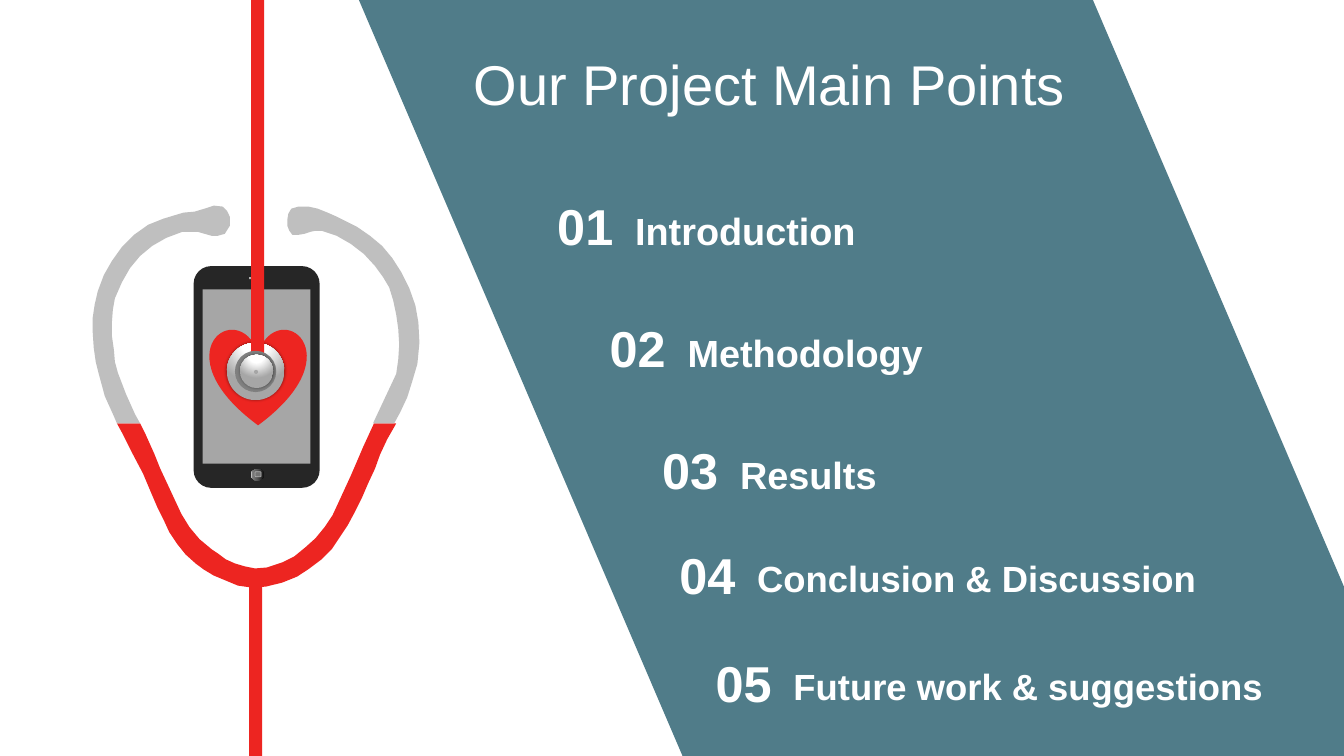
from lxml.etree import SubElement
from pptx import Presentation
from pptx.dml.color import RGBColor
from pptx.enum.shapes import MSO_SHAPE
from pptx.enum.text import MSO_ANCHOR, PP_ALIGN
from pptx.oxml import parse_xml
from pptx.oxml.ns import nsdecls, qn
from pptx.util import Inches, Pt

WHITE, TEAL, RED = "FFFFFF", "507C89", "ED2521"
CASE, SCREEN, SILVER, TUBE = "262626", "A6A6A6", "B0B0B0", "BFBFBF"
DISC_STOPS = [(0, WHITE), (35, WHITE), (100, SCREEN)]
DISC_FOCUS = ('<a:path path="circle"><a:fillToRect l="50000" t="-80000" '
              'r="50000" b="180000"/></a:path>')
BUTTON_STOPS = [(0, "0F0F0F"), (56, "595959"), (91, "808080"), (100, TUBE)]
BUTTON_DIRECTION = '<a:lin ang="10800000" scaled="0"/>'


def rgb(value):
    return RGBColor.from_string(value)


class SlidePainter:
    def __init__(self, slide, font="Arial", ink=WHITE):
        self.slide, self.font, self.ink = slide, font, ink

    def paint(self, shape, fill, line=None):
        shape.shadow.inherit = False
        shape.fill.solid()
        shape.fill.fore_color.rgb = rgb(fill)
        if line:
            shape.line.color.rgb = rgb(line)
            shape.line.width = Pt(0.5)
        else:
            shape.line.fill.background()
        return shape

    def shape(self, kind, left, top, width, height, fill, line=None):
        box = map(Inches, (left, top, width, height))
        return self.paint(self.slide.shapes.add_shape(kind, *box), fill, line)

    def gradient(self, shape, stops, direction):
        marks = "".join(f'<a:gs pos="{pos * 1000}"><a:srgbClr val="{color}"/></a:gs>'
                        for pos, color in stops)
        properties = shape.element.spPr
        properties.replace(properties.find(qn("a:solidFill")), parse_xml(
            f'<a:gradFill {nsdecls("a")} rotWithShape="0">'
            f'<a:gsLst>{marks}</a:gsLst>{direction}</a:gradFill>'))

    def metal_disc(self, left, top, size):
        disc = self.shape(MSO_SHAPE.OVAL, left, top, size, size, SCREEN)
        self.gradient(disc, DISC_STOPS, DISC_FOCUS)
        effects = disc.element.spPr.find(qn("a:effectLst"))
        glow = SubElement(effects, qn("a:outerShdw"), blurRad=str(Pt(2)), dist="0", dir="0")
        black = SubElement(glow, qn("a:srgbClr"), val="000000")
        SubElement(black, qn("a:alpha"), val="40000")

    def outline(self, fill, *contours):
        first, *others = [[(Inches(x), Inches(y)) for x, y in contour]
                          for contour in contours]
        builder = self.slide.shapes.build_freeform(*first[0])
        builder.add_line_segments(first[1:])
        for contour in others:
            builder.move_to(*contour[0])
            builder.add_line_segments(contour[1:])
        return self.paint(builder.convert_to_shape(), fill)

    def text(self, left, top, width, height, words, size, bold=True,
             align=PP_ALIGN.LEFT, anchor=MSO_ANCHOR.TOP, inset=0.12):
        box = self.slide.shapes.add_textbox(*map(Inches, (left, top, width, height)))
        frame = box.text_frame
        frame.word_wrap = True
        frame.vertical_anchor = anchor
        frame.margin_left = frame.margin_right = Inches(inset)
        paragraph = frame.paragraphs[0]
        paragraph.text = words
        paragraph.alignment = align
        font = paragraph.font
        font.name, font.size, font.bold = self.font, Pt(size), bold
        font.color.rgb = rgb(self.ink)


PANEL = [(3.56, 0), (10.84, 0), (13.33, 5.82), (13.33, 7.5), (6.77, 7.5)]

YOKE = [
    (1.16, 4.2), (1.39, 4.2), (1.44, 4.3), (1.53, 4.5), (1.59, 4.65), (1.66, 4.8),
    (1.73, 4.95), (1.8, 5.1), (1.88, 5.23), (1.98, 5.35), (2.1, 5.45), (2.16, 5.49),
    (2.24, 5.55), (2.33, 5.59), (2.43, 5.62), (2.53, 5.64), (2.65, 5.63), (2.8, 5.58),
    (2.92, 5.52), (3.03, 5.43), (3.13, 5.34), (3.22, 5.23), (3.3, 5.11), (3.36, 4.98),
    (3.42, 4.85), (3.48, 4.72), (3.54, 4.58), (3.6, 4.44), (3.71, 4.2), (3.93, 4.2),
    (3.92, 4.22), (3.84, 4.36), (3.77, 4.51), (3.72, 4.65), (3.65, 4.8), (3.59, 4.94),
    (3.52, 5.08), (3.45, 5.21), (3.37, 5.33), (3.29, 5.45), (3.19, 5.55), (3.07, 5.64),
    (2.95, 5.72), (2.8, 5.78), (2.64, 5.82), (2.5, 5.83), (2.36, 5.81), (2.24, 5.76),
    (2.12, 5.71), (2.02, 5.65), (1.94, 5.59), (1.84, 5.5), (1.76, 5.4), (1.68, 5.28),
    (1.62, 5.15), (1.56, 5.03), (1.5, 4.89), (1.42, 4.7), (1.32, 4.51), (1.22, 4.31)]

RIGHT_EARPIECE = [
    (2.96, 2.05), (3.06, 2.05), (3.15, 2.07), (3.25, 2.11), (3.34, 2.15), (3.42, 2.19),
    (3.54, 2.25), (3.67, 2.34), (3.79, 2.44), (3.89, 2.56), (3.98, 2.7), (4.06, 2.86),
    (4.12, 3.03), (4.15, 3.2), (4.16, 3.4), (4.14, 3.61), (4.09, 3.78), (4.04, 3.94),
    (3.97, 4.09), (3.91, 4.2), (3.7, 4.2), (3.93, 3.71), (3.95, 3.57), (3.96, 3.42),
    (3.95, 3.26), (3.93, 3.12), (3.9, 2.98), (3.86, 2.85), (3.8, 2.75), (3.72, 2.64),
    (3.61, 2.52), (3.48, 2.42), (3.34, 2.34), (3.19, 2.29), (3.13, 2.29), (3.08, 2.3),
    (3.02, 2.32), (2.96, 2.33), (2.9, 2.33), (2.87, 2.29), (2.85, 2.24), (2.85, 2.18),
    (2.86, 2.12), (2.89, 2.07)]

LEFT_EARPIECE = [
    (2.12, 2.04), (2.21, 2.05), (2.25, 2.09), (2.28, 2.15), (2.28, 2.24), (2.23, 2.32),
    (2.16, 2.34), (2.1, 2.34), (2.03, 2.32), (1.96, 2.3), (1.89, 2.3), (1.81, 2.3),
    (1.65, 2.36), (1.51, 2.44), (1.39, 2.54), (1.29, 2.66), (1.21, 2.8), (1.14, 2.96),
    (1.12, 3.07), (1.11, 3.2), (1.11, 3.33), (1.13, 3.47), (1.14, 3.59), (1.17, 3.7),
    (1.25, 3.91), (1.34, 4.11), (1.39, 4.2), (1.16, 4.2), (1.13, 4.13), (1.04, 3.93),
    (0.98, 3.71), (0.95, 3.59), (0.93, 3.45), (0.92, 3.3), (0.92, 3.15), (0.94, 3.02),
    (0.97, 2.89), (1.03, 2.73), (1.11, 2.59), (1.21, 2.45), (1.33, 2.33), (1.47, 2.23),
    (1.62, 2.17), (1.72, 2.14), (1.82, 2.11), (1.93, 2.1), (2.03, 2.07)]

# Left and top of each number, label, label size
POINTS = [
    (5.28, 1.89, "Introduction", 27),
    (5.8, 3.1, "Methodology", 27),
    (6.32, 4.31, "Results", 27),
    (6.49, 5.35, "Conclusion & Discussion", 26),
    (6.85, 6.42, "Future work & suggestions", 26)]


def main():
    deck = Presentation()
    deck.slide_width, deck.slide_height = Inches(13.33), Inches(7.5)
    painter = SlidePainter(deck.slides.add_slide(deck.slide_layouts[6]))

    # Slanted panel
    painter.outline(TEAL, PANEL)

    # Phone
    case = painter.shape(MSO_SHAPE.ROUNDED_RECTANGLE, 1.92, 2.64, 1.25, 2.2, CASE)
    case.adjustments[0] = 0.14
    painter.shape(MSO_SHAPE.RECTANGLE, 2.47, 2.75, 0.13, 0.02, SILVER)
    button = painter.shape(MSO_SHAPE.OVAL, 2.49, 4.65, 0.13, 0.12, CASE)
    painter.gradient(button, BUTTON_STOPS, BUTTON_DIRECTION)
    painter.shape(MSO_SHAPE.ROUNDED_RECTANGLE, 2.53, 4.68, 0.06, 0.05, "737373", SILVER)
    painter.shape(MSO_SHAPE.RECTANGLE, 2.01, 2.87, 1.07, 1.73, SCREEN)
    painter.shape(MSO_SHAPE.HEART, 2.08, 3.26, 0.96, 0.96, RED)

    # Stethoscope
    painter.shape(MSO_SHAPE.RECTANGLE, 2.47, 5.7, 0.13, 1.8, RED)
    painter.metal_disc(2.25, 3.4, 0.57)
    painter.outline(RED, YOKE)
    painter.outline(TUBE, RIGHT_EARPIECE, LEFT_EARPIECE)
    painter.shape(MSO_SHAPE.RECTANGLE, 2.49, 0, 0.13, 3.58, RED)
    painter.shape(MSO_SHAPE.OVAL, 2.33, 3.48, 0.41, 0.41, "808080")
    painter.metal_disc(2.38, 3.52, 0.33)
    painter.shape(MSO_SHAPE.OVAL, 2.52, 3.67, 0.04, 0.04, SCREEN)

    # Title and main points
    painter.text(4.6, 0.44, 6.59, 0.77, "Our Project Main Points", 40, bold=False,
                 anchor=MSO_ANCHOR.MIDDLE, inset=0.1)
    for number, (left, top, label, size) in enumerate(POINTS, 1):
        painter.text(left + 0.9, top + 0.12, 4.93, 0.55, label, size)
        painter.text(left, top, 1.05, 0.71, f"{number:02}", 36, align=PP_ALIGN.CENTER)

    deck.save("out.pptx")


if __name__ == "__main__":
    main()
